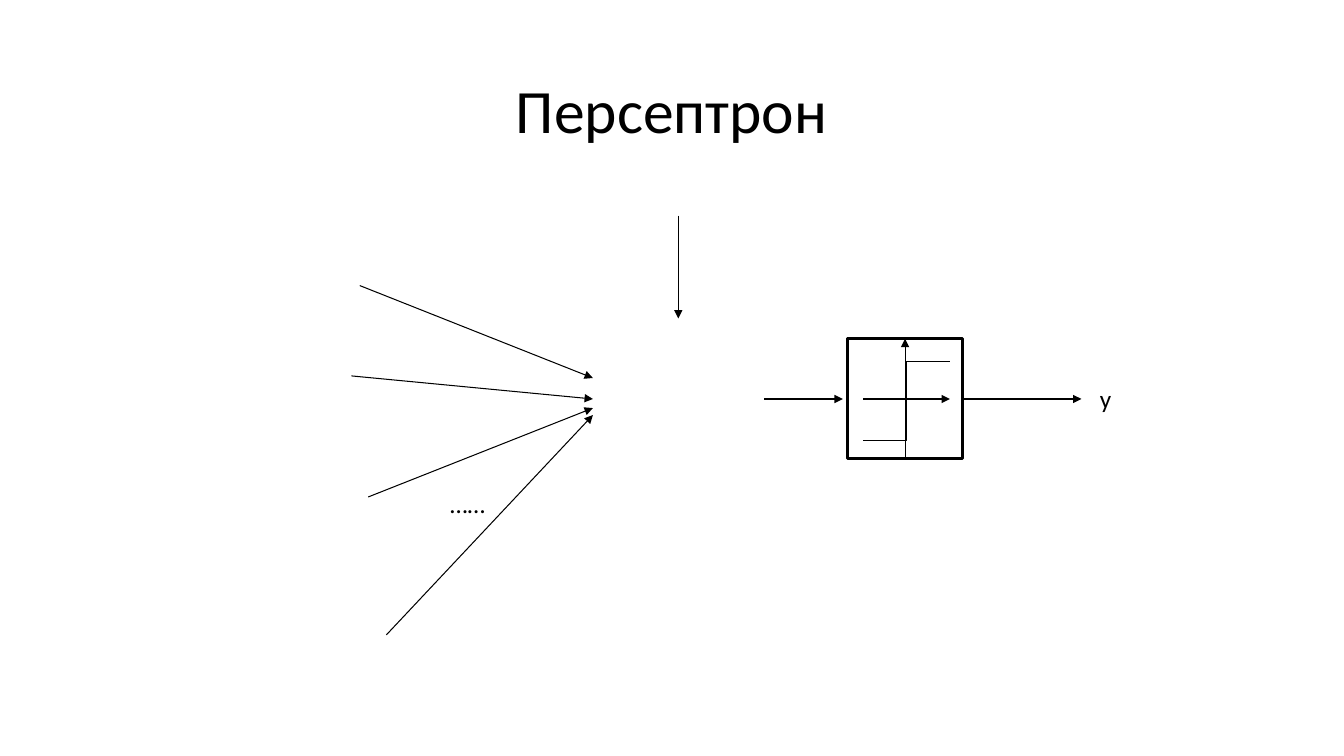
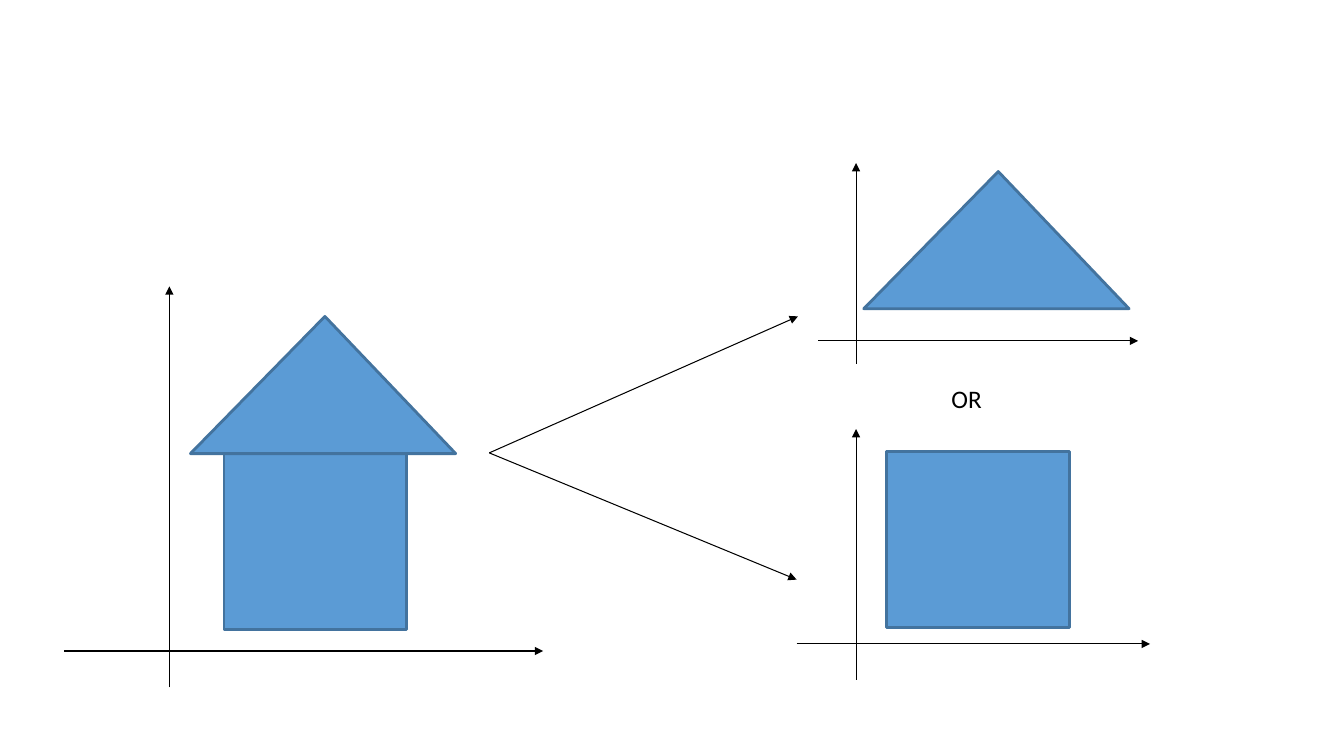
import pptx
import pptx.dml.color
import pptx.enum.shapes
import pptx.enum.text
import pptx.oxml.ns
import pptx.util
from lxml import etree

Pt = pptx.util.Pt
SHAPE = pptx.enum.shapes.MSO_SHAPE
CONNECTOR = pptx.enum.shapes.MSO_CONNECTOR
qn = pptx.oxml.ns.qn

FONT = "Calibri"
COLOURS = {"ink": "000000", "paper": "FFFFFF", "fill": "5B9BD5", "edge": "43739E"}
ROOF = (189.5, 98)
WALL = (130.5, 125.5)


def colour(name):
    return pptx.dml.color.RGBColor.from_string(COLOURS[name])


def add_span(para, text, size):
    span = para.add_run()
    span.text = text
    span.font.name = FONT
    span.font.size = Pt(size)
    span.font.color.rgb = colour("ink")


def add_title(page, text):
    title = page.shapes.title
    title.left, title.top, title.width, title.height = Pt(66), Pt(29), Pt(828), Pt(104)
    title.text_frame.vertical_anchor = pptx.enum.text.MSO_ANCHOR.MIDDLE
    para = title.text_frame.paragraphs[0]
    para.alignment = pptx.enum.text.PP_ALIGN.CENTER
    para.line_spacing = 0.9
    add_span(para, text, 44)


def add_label(page, text, left, top, width):
    box = page.shapes.add_textbox(Pt(left), Pt(top), Pt(width), Pt(29))
    box.text_frame.word_wrap = False
    add_span(box.text_frame.paragraphs[0], text, 18)


def add_line(page, start, end, kind=CONNECTOR.STRAIGHT):
    line = page.shapes.add_connector(kind, *(Pt(value) for value in (*start, *end)))
    line.line.color.rgb = colour("ink")
    line.line.width = Pt(0.75)
    etree.SubElement(line._element.spPr, qn("a:effectLst"))
    return line


def add_arrow(page, start, end):
    outline = add_line(page, start, end).line._get_or_add_ln()
    etree.SubElement(outline, qn("a:tailEnd"), type="triangle")


def add_figure(page, kind, left, top, size, fill="fill", edge="edge"):
    figure = page.shapes.add_shape(kind, Pt(left), Pt(top), Pt(size[0]), Pt(size[1]))
    figure.shadow.inherit = False
    figure.fill.solid()
    figure.fill.fore_color.rgb = colour(fill)
    figure.line.color.rgb = colour(edge)
    figure.line.width = Pt(2)
    return figure


def add_roof(page, left, top):
    add_figure(page, SHAPE.ISOSCELES_TRIANGLE, left, top, ROOF).adjustments[0] = 0.507


def add_wall(page, left, top):
    add_figure(page, SHAPE.RECTANGLE, left, top, WALL)


def add_axes(page, left, top, width, height, origin):
    """Cross two arrows at origin, which is an offset inside the box."""
    x, y = left + origin[0], top + origin[1]
    add_arrow(page, (x, top + height), (x, top))
    add_arrow(page, (left, y), (left + width, y))


def add_inputs(page, left, top):
    """Draw the signals that meet at the adder, and the bias above it."""
    signals = [((6, 50), 116), ((0, 114.5), 131), ((12, 201), 137.5), ((25, 299.5), 142.5)]
    for (x, y), end in signals:
        add_arrow(page, (left + x, top + y), (left + 172.5, top + end))
    add_label(page, "……", left + 63.5, top + 191, 39)
    add_arrow(page, (left + 233.5, top), (left + 233.5, top + 73.5))


def add_activation(page, left, top):
    """Draw the step function in its square, with the arrows in and out."""
    width, height, middle = 82, 85.5, 43
    y = top + middle
    add_arrow(page, (left - 59.5, y), (left - 3.5, y))
    add_figure(page, SHAPE.RECTANGLE, left, top, (width, height), "paper", "ink")
    add_line(page, (left + 73, top + 16), (left + 11, top + 72.5), CONNECTOR.ELBOW)
    add_axes(page, left + 11, top, 62, height, (30, middle))
    add_arrow(page, (left + width, y), (left + width + 85, y))
    add_label(page, "y", left + width + 91, y - 15, 24.5)


def build_perceptron(deck):
    page = deck.slides.add_slide(deck.slide_layouts[5])
    add_title(page, "Персептрон")
    add_inputs(page, 251, 154)
    add_activation(page, 605.5, 242)


def build_choice(deck):
    page = deck.slides.add_slide(deck.slide_layouts[6])
    add_axes(page, 46, 204.5, 342, 286.5, (75, 260.5))
    add_wall(page, 160, 226 + ROOF[1])
    add_roof(page, 136, 226)
    for end in ((570, 226), (569, 414)):
        add_arrow(page, (349.5, 323.5), end)
    add_axes(page, 569, 306.5, 252.5, 179, (42.5, 153.5))
    add_wall(page, 633.5, 322.5)
    add_axes(page, 584.5, 116.5, 228.5, 143.5, (27, 127))
    add_roof(page, 617, 122.5)
    add_label(page, "OR", 672.5, 270, 41)


def main():
    deck = pptx.Presentation()
    deck.slide_width, deck.slide_height = Pt(960), Pt(540)
    build_perceptron(deck)
    build_choice(deck)
    deck.save("out.pptx")


if __name__ == "__main__":
    main()
